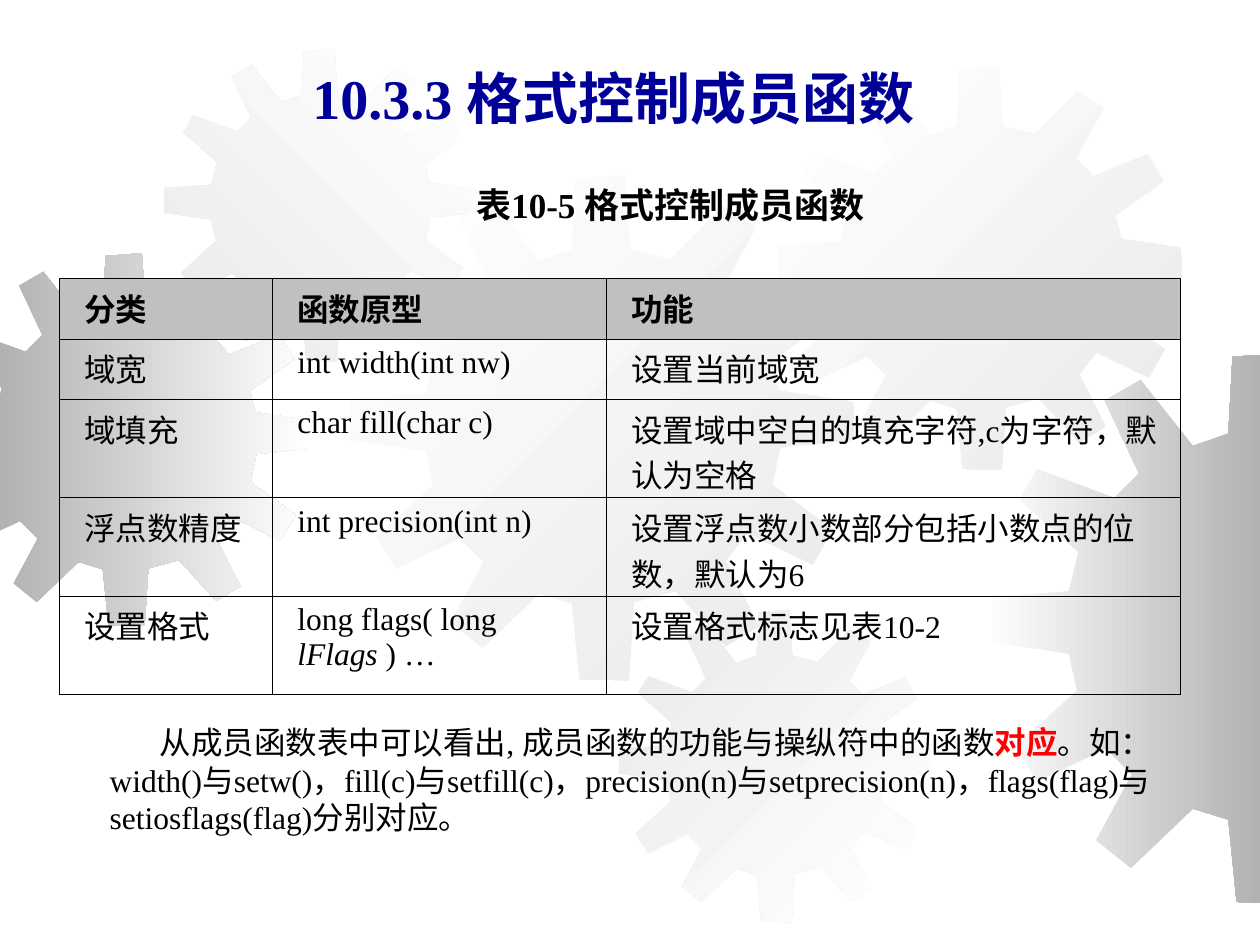
from lxml.etree import SubElement
from pptx import Presentation
from pptx.dml.color import RGBColor
from pptx.enum.text import MSO_ANCHOR, PP_ALIGN
from pptx.oxml.ns import qn
from pptx.util import Inches, Pt

BLACK = RGBColor(0x00, 0x00, 0x00)
WHITE = RGBColor(0xFF, 0xFF, 0xFF)
NAVY = RGBColor(0x00, 0x00, 0x99)
RED = RGBColor(0xFF, 0x00, 0x00)
HEADER = RGBColor(0xC0, 0xC0, 0xC0)
PALE = RGBColor(0xEA, 0xEA, 0xEA)
GREY = RGBColor(0xB2, 0xB2, 0xB2)

COLS, ROWS = 100, 75

# Outline of one gear in a square of side GEAR_SIDE
GEAR_SIDE = 401
GEAR = [
    (255, 67), (223, 59), (219, 0), (180, 3), (177, 59), (151, 68),
    (113, 20), (87, 35), (112, 88), (94, 106), (38, 85), (25, 107),
    (68, 145), (61, 174), (1, 178), (0, 210), (61, 219), (67, 246),
    (22, 287), (38, 312), (88, 288), (107, 307), (81, 355), (106, 375),
    (151, 332), (177, 340), (183, 400), (222, 401), (226, 339), (259, 330),
    (299, 374), (325, 358), (299, 306), (316, 284), (368, 309), (384, 281),
    (336, 246), (342, 216), (401, 210), (400, 180), (341, 171), (335, 148),
    (383, 114), (367, 87), (313, 109), (296, 91), (323, 41), (297, 25),
]

# left, top, side in grid units; gradient colours and clockwise angle
GEARS = [
    (-4.9, 20.1, 29.6, GREY, WHITE, 0),
    (13, 3.9, 24.8, PALE, WHITE, 315),
    (27.7, 13.9, 40.1, WHITE, PALE, 45),
    (0, 52.5, 37.4, WHITE, None, 0),
    (49.1, 48.4, 24.8, PALE, WHITE, 45),
    (61.8, 5.3, 32, WHITE, PALE, 45),
    (78.2, 28, 43.7, WHITE, GREY, 0),
]

TABLE = [
    ["分类", "函数原型", "功能"],
    ["域宽", "int width(int nw)", "设置当前域宽"],
    ["域填充", "char fill(char c)", "设置域中空白的填充字符,c为字符，默认为空格"],
    ["浮点数精度", "int precision(int n)", "设置浮点数小数部分包括小数点的位数，默认为6"],
    ["设置格式", [("long flags( long ", {}), ("lFlags ", {"italic": True}), (") …", {})],
     "设置格式标志见表10-2"],
]

NOTE = [
    [("从成员函数表中可以看出, 成员函数的功能与操纵符中的函数", {}),
     ("对应", {"bold": True, "color": RED}), ("。如：", {})],
    "width()与setw()，fill(c)与setfill(c)，precision(n)与setprecision(n)，"
    "flags(flag)与setiosflags(flag)分别对应。",
]


def clip(points, axis, limit, sign):
    """Keep the part of a polygon where sign * (coordinate - limit) >= 0."""
    kept = []
    for a, b in zip(points[-1:] + points[:-1], points):
        da, db = sign * (a[axis] - limit), sign * (b[axis] - limit)
        if da * db < 0:
            t = da / (da - db)
            kept.append((a[0] + t * (b[0] - a[0]), a[1] + t * (b[1] - a[1])))
        if db >= 0:
            kept.append(b)
    return kept


class Deck:
    font = "Times New Roman"
    insets = 0.2, 0.18

    def __init__(self):
        self.prs = Presentation()
        self.prs.slide_width, self.prs.slide_height = Inches(10), Inches(7.5)
        self.unit = self.prs.slide_width / COLS
        self.s = self.prs.slides.add_slide(self.prs.slide_layouts[5])

    def grid(self, *lengths):
        return [round(n * self.unit) for n in lengths]

    def fill_paragraph(self, p, text, size, color=BLACK, bold=False):
        """Fill a paragraph from a string or from (text, changes) runs."""
        f = p.font
        f.name, f.size, f.bold = self.font, Pt(size), bold
        f.color.rgb = color
        for words, changes in [(text, {})] if isinstance(text, str) else text:
            r = p.add_run()
            r.text = words
            if "bold" in changes:
                r.font.bold = changes["bold"]
            if "italic" in changes:
                r.font.italic = changes["italic"]
            if "color" in changes:
                r.font.color.rgb = changes["color"]

    def gear(self, left, top, side, start, end, angle):
        k = side / GEAR_SIDE
        points = [(left + x * k, top + y * k) for x, y in GEAR]
        for edge in ((0, 0, 1), (0, COLS, -1), (1, ROWS, -1)):
            points = clip(points, *edge)
        points = [self.grid(*point) for point in points]
        builder = self.s.shapes.build_freeform(*points[0])
        builder.add_line_segments(points[1:], close=True)
        sp = builder.convert_to_shape()
        sp.shadow.inherit = False
        sp.line.fill.background()
        if end is None:
            sp.fill.solid()
            sp.fill.fore_color.rgb = start
            color = sp._element.spPr.find(".//" + qn("a:srgbClr"))
            SubElement(color, qn("a:alpha"), val="50000")
            return
        sp.fill.gradient()
        sp.fill.gradient_angle = -angle % 360
        for stop, color in zip(sp.fill.gradient_stops, (start, end)):
            stop.color.rgb = color

    def title(self, text, *box):
        sp = self.s.shapes.title
        self.s.shapes._spTree.append(sp._element)  # bring in front of the gears
        sp.left, sp.top, sp.width, sp.height = self.grid(*box)
        tf = sp.text_frame
        tf.vertical_anchor = MSO_ANCHOR.MIDDLE
        tf.paragraphs[0].alignment = PP_ALIGN.CENTER
        self.fill_paragraph(tf.paragraphs[0], text, 32, NAVY, True)

    def text(self, paragraphs, size, *box, bold=False, spacing=None, indent=0):
        tf = self.s.shapes.add_textbox(*self.grid(*box)).text_frame
        tf.word_wrap = True
        tf.vertical_anchor = MSO_ANCHOR.MIDDLE
        tf.margin_left, tf.margin_right = map(Inches, self.insets)
        tf.margin_top = tf.margin_bottom = Inches(0.09)
        for i, words in enumerate(paragraphs):
            p = tf.add_paragraph() if i else tf.paragraphs[0]
            self.fill_paragraph(p, words, size, bold=bold)
            if spacing:
                p.line_spacing = Pt(spacing)
        if indent:
            tf.paragraphs[0]._p.get_or_add_pPr().set("indent", str(self.grid(indent)[0]))

    def borders(self, cell):
        tcPr = cell._tc.get_or_add_tcPr()
        for i, side in enumerate(("a:lnL", "a:lnR", "a:lnT", "a:lnB")):
            ln = SubElement(tcPr, qn(side), w=str(Pt(0.45)))
            SubElement(SubElement(ln, qn("a:solidFill")), qn("a:srgbClr"), val=str(BLACK))
            tcPr.insert(i, ln)

    def table(self, rows, left, top, widths, heights):
        box = self.grid(left, top, sum(widths), sum(heights))
        table = self.s.shapes.add_table(len(rows), len(widths), *box).table
        table.first_row = table.horz_banding = False
        for column, width in zip(table.columns, self.grid(*widths)):
            column.width = width
        for i, (row, height) in enumerate(zip(table.rows, self.grid(*heights))):
            row.height = height
            for cell, words in zip(row.cells, rows[i]):
                cell.margin_left, cell.margin_right = map(Inches, self.insets)
                self.fill_paragraph(cell.text_frame.paragraphs[0], words, 18, bold=i == 0)
                if i == 0:
                    cell.fill.solid()
                    cell.fill.fore_color.rgb = HEADER
                else:
                    cell.fill.background()
                self.borders(cell)


def main():
    deck = Deck()
    for gear in GEARS:
        deck.gear(*gear)
    deck.title("10.3.3 格式控制成员函数", 3.7, 4.4, 90, 6.6)
    deck.text(["表10-5 格式控制成员函数"], 20, 35.8, 13.7, 36.6, 5.1, bold=True)
    deck.table(TABLE, 4.7, 22.1, [16.9, 26.5, 45.6], [4.8] * 2 + [7.8] * 3)
    deck.text(NOTE, 18, 6.7, 56.5, 93.3, 10.8, spacing=21.4, indent=4)
    deck.prs.save("out.pptx")


if __name__ == "__main__":
    main()
